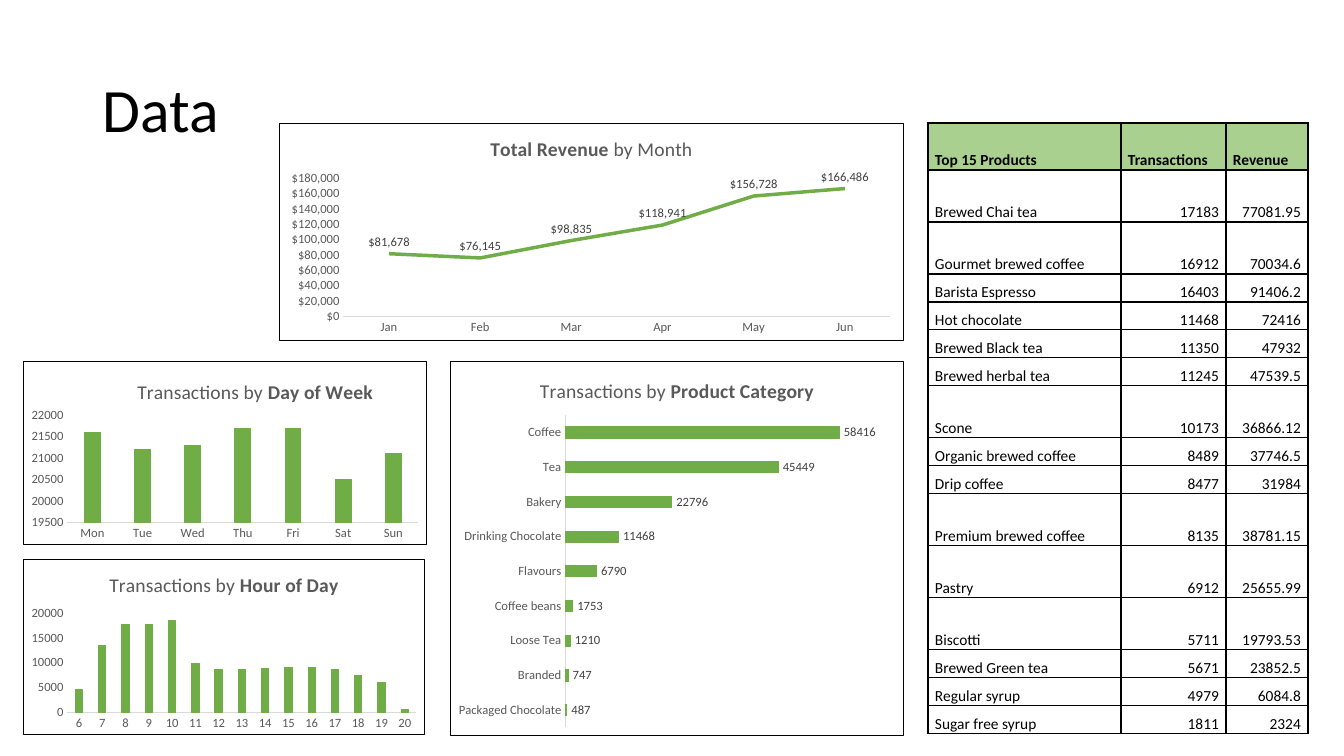
from lxml.etree import SubElement
from pptx import Presentation
from pptx.chart.data import CategoryChartData
from pptx.dml.color import RGBColor
from pptx.enum.chart import XL_CHART_TYPE, XL_LABEL_POSITION, XL_TICK_MARK
from pptx.enum.text import MSO_ANCHOR, PP_ALIGN
from pptx.oxml import parse_xml
from pptx.oxml.ns import nsdecls, qn
from pptx.util import Pt

SCALE = 914400 / 100.8
FONT = "Calibri"
HUES = {"ink": "000000", "grey": "595959", "label": "404040", "rule": "D9D9D9",
        "green": "70AD47", "head": "A9D08E", "white": "FFFFFF"}
MONEY = '"$"#,##0'
TALL = {"Brewed Chai tea", "Gourmet brewed coffee", "Scone",
        "Premium brewed coffee", "Pastry", "Biscotti"}
GOODS = [
    ("Top 15 Products", "Transactions", "Revenue"),
    ("Brewed Chai tea", "17183", "77081.95"),
    ("Gourmet brewed coffee", "16912", "70034.6"),
    ("Barista Espresso", "16403", "91406.2"),
    ("Hot chocolate", "11468", "72416"),
    ("Brewed Black tea", "11350", "47932"),
    ("Brewed herbal tea", "11245", "47539.5"),
    ("Scone", "10173", "36866.12"),
    ("Organic brewed coffee", "8489", "37746.5"),
    ("Drip coffee", "8477", "31984"),
    ("Premium brewed coffee", "8135", "38781.15"),
    ("Pastry", "6912", "25655.99"),
    ("Biscotti", "5711", "19793.53"),
    ("Brewed Green tea", "5671", "23852.5"),
    ("Regular syrup", "4979", "6084.8"),
    ("Sugar free syrup", "1811", "2324"),
]


def px(num):
    return round(num * SCALE)


def hue(name):
    return RGBColor.from_string(HUES[name])


def style(font, size, color="ink", bold=False):
    font.name, font.size, font.bold = FONT, Pt(size), bold
    font.color.rgb = hue(color)


def write(para, text, size=11, color="ink", bold=False, align=None, space=None):
    run = para.add_run()
    run.text = text
    style(run.font, size, color, bold)
    if align is not None:
        para.alignment = align
    if space:
        para.line_spacing = space


def place(node, slot, **spots):
    for old in node.findall(qn("c:layout")):
        node.remove(old)
    layout = node.makeelement(qn("c:layout"))
    node.insert(slot, layout)
    manual = SubElement(layout, qn("c:manualLayout"))
    for tag, val in spots.items():
        SubElement(manual, qn("c:" + tag)).set("val", str(val))


def frame(chart):
    chart.element.find(qn("c:chart")).addnext(parse_xml(
        f'<c:spPr {nsdecls("c", "a")}><a:solidFill><a:srgbClr val="{HUES["white"]}"/>'
        f'</a:solidFill><a:ln w="9525"><a:solidFill><a:srgbClr val="{HUES["ink"]}"/>'
        '</a:solidFill></a:ln></c:spPr>'))


def dress(axis):
    axis.major_tick_mark = axis.minor_tick_mark = XL_TICK_MARK.NONE
    axis.has_major_gridlines = False
    style(axis.tick_labels.font, 9, "grey")


def label(plot, form, spot):
    plot.has_data_labels = True
    tags = plot.data_labels
    tags.show_value = True
    tags.position = spot
    tags.number_format, tags.number_format_is_linked = form, False
    style(tags.font, 9, "label")


def graph(slide, kind, box, inner, cats, vals, title, span, form="General",
          spot=None, gap=None, lap=None, shift=None):
    data = CategoryChartData()
    data.categories = cats
    data.add_series("Series 1", vals)
    chart = slide.shapes.add_chart(kind, *map(px, box), data).chart
    style(chart.font, 10)
    chart.has_legend = False
    frame(chart)

    chart.has_title = True
    para = chart.chart_title.text_frame.paragraphs[0]
    for text, bold in title:
        write(para, text, size=14, color="grey", bold=bold)
    left, top, wide, high = box
    if shift:
        place(chart.chart_title.element, 1, xMode="edge", yMode="edge",
              x=round(shift[0] / wide, 4), y=round(shift[1] / high, 4))
    x, y, w, h = inner
    place(chart.element.find(qn("c:chart")).find(qn("c:plotArea")), 0,
          layoutTarget="inner", xMode="edge", yMode="edge",
          x=round((x - left) / wide, 4), y=round((y - top) / high, 4),
          w=round(w / wide, 4), h=round(h / high, 4))

    base, side = chart.category_axis, chart.value_axis
    dress(base)
    dress(side)
    base.format.line.color.rgb = hue("rule")
    base.format.line.width = Pt(0.75)
    side.format.line.fill.background()
    side.minimum_scale, side.maximum_scale, side.major_unit = span
    side.tick_labels.number_format = form
    side.tick_labels.number_format_is_linked = False

    plot = chart.plots[0]
    plot.vary_by_categories = False
    row = plot.series[0]
    row.format.line.color.rgb = hue("green")
    if kind == XL_CHART_TYPE.LINE:
        row.smooth = False
        row.format.line.width = Pt(2.5)
    else:
        row.format.fill.solid()
        row.format.fill.fore_color.rgb = hue("green")
        row.format.line.width = Pt(0.75)
        plot.gap_width = gap
        if lap is not None:
            plot.overlap = lap
    if kind == XL_CHART_TYPE.BAR_CLUSTERED:
        base.reverse_order = True
        side.visible = False
        row.format.line.fill.background()
    if spot is not None:
        label(plot, form, spot)


def edge(cell):
    props = cell._tc.get_or_add_tcPr()
    for slot, tag in enumerate(("lnL", "lnR", "lnT", "lnB")):
        props.insert(slot, parse_xml(
            f'<a:{tag} {nsdecls("a")} w="12700"><a:solidFill>'
            f'<a:srgbClr val="{HUES["ink"]}"/></a:solidFill></a:{tag}>'))


def grid(slide, rows, box, wide):
    table = slide.shapes.add_table(len(rows), len(wide), *map(px, box)).table
    table.horz_banding = False
    for col, size in zip(table.columns, wide):
        col.width = px(size)
    for r, row in enumerate(rows):
        head = r == 0
        table.rows[r].height = px(47 if head else 52 if row[0] in TALL else 28)
        for c, text in enumerate(row):
            cell = table.cell(r, c)
            cell.vertical_anchor = MSO_ANCHOR.BOTTOM
            cell.margin_left = cell.margin_right = px(7)
            cell.margin_top = cell.margin_bottom = 0
            if head:
                cell.fill.solid()
                cell.fill.fore_color.rgb = hue("head")
            else:
                cell.fill.background()
            edge(cell)
            write(cell.text_frame.paragraphs[0], text, bold=head, space=1.07,
                  align=PP_ALIGN.RIGHT if c and not head else PP_ALIGN.LEFT)


def main():
    deck = Presentation()
    deck.slide_width, deck.slide_height = px(1344), px(756)
    slide = deck.slides.add_slide(deck.slide_layouts[6])

    text = slide.shapes.add_textbox(*map(px, (93, 40, 1159, 146))).text_frame
    text.word_wrap = True
    text.vertical_anchor = MSO_ANCHOR.MIDDLE
    write(text.paragraphs[0], "Data", size=44, space=0.9)

    graph(slide, XL_CHART_TYPE.LINE, (279, 123, 625, 218), (343, 178, 548, 139),
          ["Jan", "Feb", "Mar", "Apr", "May", "Jun"],
          [81678, 76145, 98835, 118941, 156728, 166486],
          [("Total Revenue", True), (" by Month", False)],
          (0, 180000, 20000), form=MONEY, spot=XL_LABEL_POSITION.ABOVE)
    graph(slide, XL_CHART_TYPE.COLUMN_CLUSTERED, (23, 361, 404, 184), (67, 415, 352, 108),
          ["Mon", "Tue", "Wed", "Thu", "Fri", "Sat", "Sun"],
          [21600, 21200, 21300, 21700, 21700, 20500, 21100],
          [("Transactions by ", False), ("Day of Week", True)],
          (19500, 22000, 500), gap=219, lap=-27, shift=(111, 14))
    graph(slide, XL_CHART_TYPE.COLUMN_CLUSTERED, (23, 559, 402, 176), (67, 613, 350, 100),
          [str(hour) for hour in range(6, 21)],
          [4600, 13400, 17700, 17800, 18500, 9800, 8700, 8700, 8900, 9000, 9100,
           8700, 7500, 6100, 600],
          [("Transactions by ", False), ("Hour of Day", True)],
          (0, 20000, 5000), gap=219, lap=-27)
    graph(slide, XL_CHART_TYPE.BAR_CLUSTERED, (450, 361, 454, 375), (565, 415, 330, 313),
          ["Coffee", "Tea", "Bakery", "Drinking Chocolate", "Flavours", "Coffee beans",
           "Loose Tea", "Branded", "Packaged Chocolate"],
          [58416, 45449, 22796, 11468, 6790, 1753, 1210, 747, 487],
          [("Transactions by ", False), ("Product Category", True)],
          (0, 70000, 10000), gap=182, spot=XL_LABEL_POSITION.OUTSIDE_END)
    grid(slide, GOODS, (928, 123, 380, 613), (193, 105, 82))
    deck.save("out.pptx")


if __name__ == "__main__":
    main()
